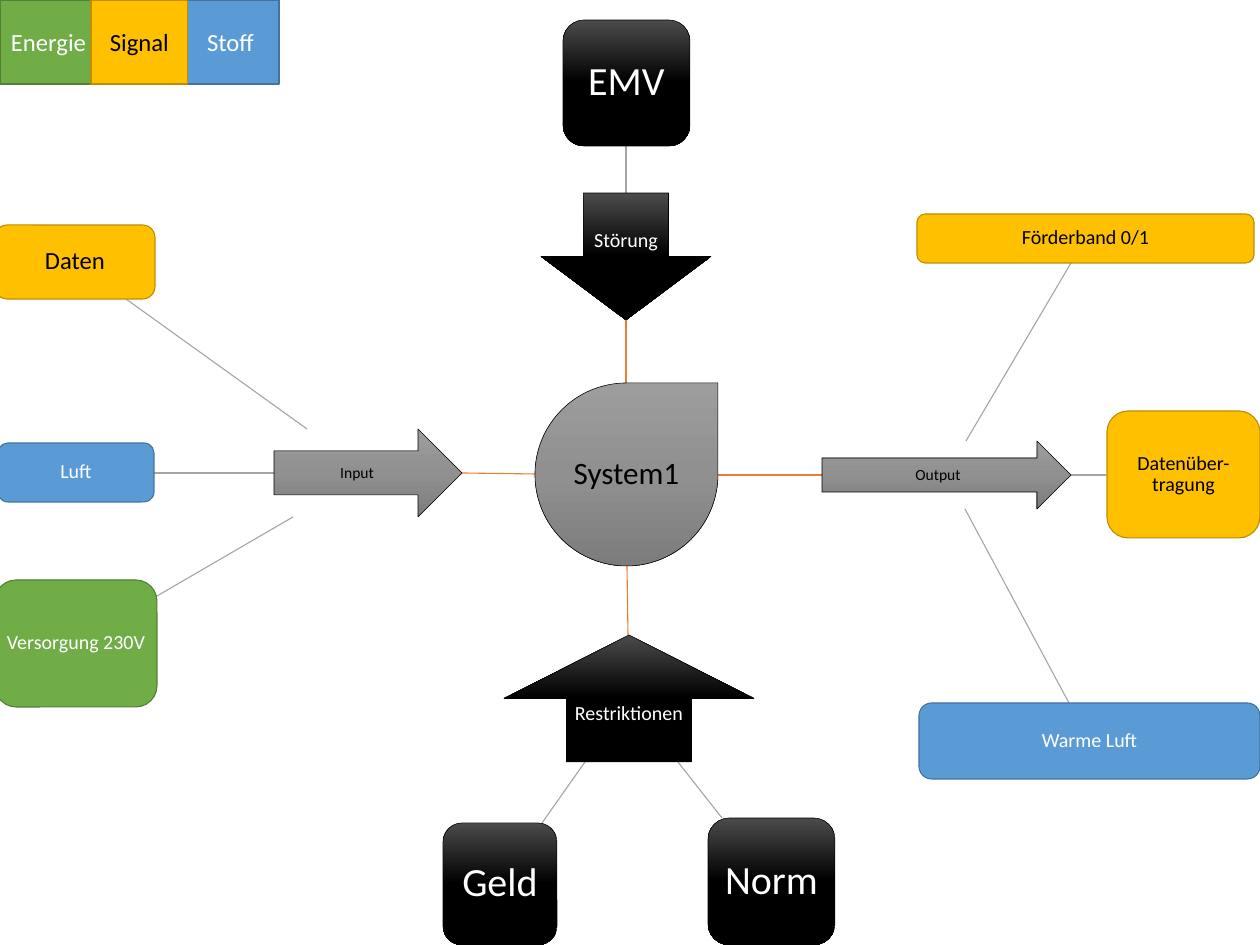
from copy import deepcopy
from pptx import Presentation
from pptx.dml.color import RGBColor
from pptx.enum.shapes import MSO_CONNECTOR, MSO_SHAPE
from pptx.enum.text import MSO_ANCHOR, PP_ALIGN
from pptx.oxml.ns import qn
from pptx.oxml.xmlchemy import OxmlElement
from pptx.util import Emu, Pt

PIXEL = 914400 // 80
SLIDE = (1260, 945)

THEME = {
    "font": "Calibri",
    "sizes": {"main": 36, "system": 28, "legend": 22.2, "label": 18, "flow": 14},
    "kinds": {
        "energy": {"fill": ["70AD47"], "line": "538035", "width": 1, "text": "FFFFFF"},
        "signal": {"fill": ["FFC000"], "line": "BD8E00", "width": 1, "text": "000000"},
        "matter": {"fill": ["5B9BD5"], "line": "43739E", "width": 1, "text": "FFFFFF"},
        "system": {"fill": ["9D9D9D", "909090", "7C7C7C"], "line": "000000", "width": 0.5, "text": "000000"},
        "outside": {"fill": ["4B4B4B", "000000", "000000"], "line": "000000", "width": 0.5, "text": "FFFFFF"},
    },
    "links": {"core": "ED7D31", "branch": "A5A5A5"},
}

LINKS = {
    "core": [
        (535, 474, 462, 473), (627, 566, 628, 635),
        (718, 475, 822, 475), (626, 383, 626, 319),
    ],
    "branch": [
        (626, 193, 626, 146), (966, 441, 1071, 263), (1070, 475, 1106, 475),
        (965, 509, 1069, 703), (678, 762, 722, 818), (585, 762, 542, 823),
        (293, 517, 157, 596), (274, 473, 154, 473), (307, 429, 126, 299),
    ],
}

BOX, RECT = MSO_SHAPE.ROUNDED_RECTANGLE, MSO_SHAPE.RECTANGLE
RIGHT, DOWN, UP = MSO_SHAPE.RIGHT_ARROW, MSO_SHAPE.DOWN_ARROW, MSO_SHAPE.UP_ARROW

NODES = [
    ("System1", MSO_SHAPE.TEAR, "system", "system", (535, 383, 183, 183), 6),
    ("Störung", DOWN, "outside", "label", (541, 193, 170, 127), 4),
    ("EMV", BOX, "outside", "main", (563, 20, 127, 126), 8),
    ("Output", RIGHT, "system", "flow", (822, 441, 249, 68), 3),
    ("Förderband 0/1", BOX, "signal", "label", (917, 214, 337, 49), 4),
    ("Datenüber-tragung", BOX, "signal", "label", (1107, 411, 153, 127), 4),
    ("Warme Luft", BOX, "matter", "label", (919, 703, 341, 76), 4),
    ("Restriktionen", UP, "outside", "label", (504, 635, 250, 127), 4),
    ("Norm", BOX, "outside", "main", (708, 818, 127, 127), 8),
    ("Geld", BOX, "outside", "main", (443, 823, 114, 122), 4),
    ("Input", RIGHT, "system", "flow", (274, 429, 188, 88), 3),
    ("Versorgung 230V", BOX, "energy", "label", (-5, 580, 162, 127), 4),
    ("Luft", BOX, "matter", "label", (-2, 443, 156, 59), 4),
    ("Daten", BOX, "signal", "legend", (-5, 225, 160, 74), 4),
]

LEGEND = [("Energie", "energy", 0), ("Stoff", "matter", 2), ("Signal", "signal", 1)]
LEGEND_STEP, LEGEND_SIZE = 91, (97, 84)


def px(value):
    return Emu(value * PIXEL)


def paint(fill, shades):
    if len(shades) == 1:
        fill.solid()
        fill.fore_color.rgb = RGBColor.from_string(shades[0])
        return
    fill.gradient()
    fill.gradient_angle = 270
    first = fill._xPr.find(qn("a:gradFill")).find(qn("a:gsLst"))[0]
    first.addnext(deepcopy(first))
    for index, (stop, shade) in enumerate(zip(fill.gradient_stops, shades)):
        stop.position = index / (len(shades) - 1)
        stop.color.rgb = RGBColor.from_string(shade)


def add_link(shapes, ends, color):
    link = shapes.add_connector(MSO_CONNECTOR.STRAIGHT, *map(px, ends))
    link.line.color.rgb = RGBColor.from_string(color)
    link.line.width = Pt(1)
    link._element.spPr.append(OxmlElement("a:effectLst"))


def add_node(shapes, label, outline, kind, size, place, inset, spacing=0.9):
    look = THEME["kinds"][kind]
    node = shapes.add_shape(outline, *map(px, place))
    node.shadow.inherit = False
    paint(node.fill, look["fill"])
    node.line.color.rgb = RGBColor.from_string(look["line"])
    node.line.width = Pt(look["width"])
    frame = node.text_frame
    frame.word_wrap = True
    frame.vertical_anchor = MSO_ANCHOR.MIDDLE
    frame.margin_left = frame.margin_right = px(inset)
    frame.margin_top = frame.margin_bottom = px(inset)
    paragraph = frame.paragraphs[0]
    paragraph.alignment = PP_ALIGN.CENTER
    paragraph.line_spacing = spacing
    run = paragraph.add_run()
    run.text = label
    run.font.name = THEME["font"]
    run.font.size = Pt(THEME["sizes"][size])
    run.font.color.rgb = RGBColor.from_string(look["text"])


presentation = Presentation()
presentation.slide_width, presentation.slide_height = map(px, SLIDE)
shapes = presentation.slides.add_slide(presentation.slide_layouts[6]).shapes

for role, routes in LINKS.items():
    for ends in routes:
        add_link(shapes, ends, THEME["links"][role])

for node in NODES:
    add_node(shapes, *node)

for label, kind, column in LEGEND:
    place = (column * LEGEND_STEP, 0, *LEGEND_SIZE)
    add_node(shapes, label, RECT, kind, "legend", place, 4, spacing=1.0)

presentation.save("out.pptx")
